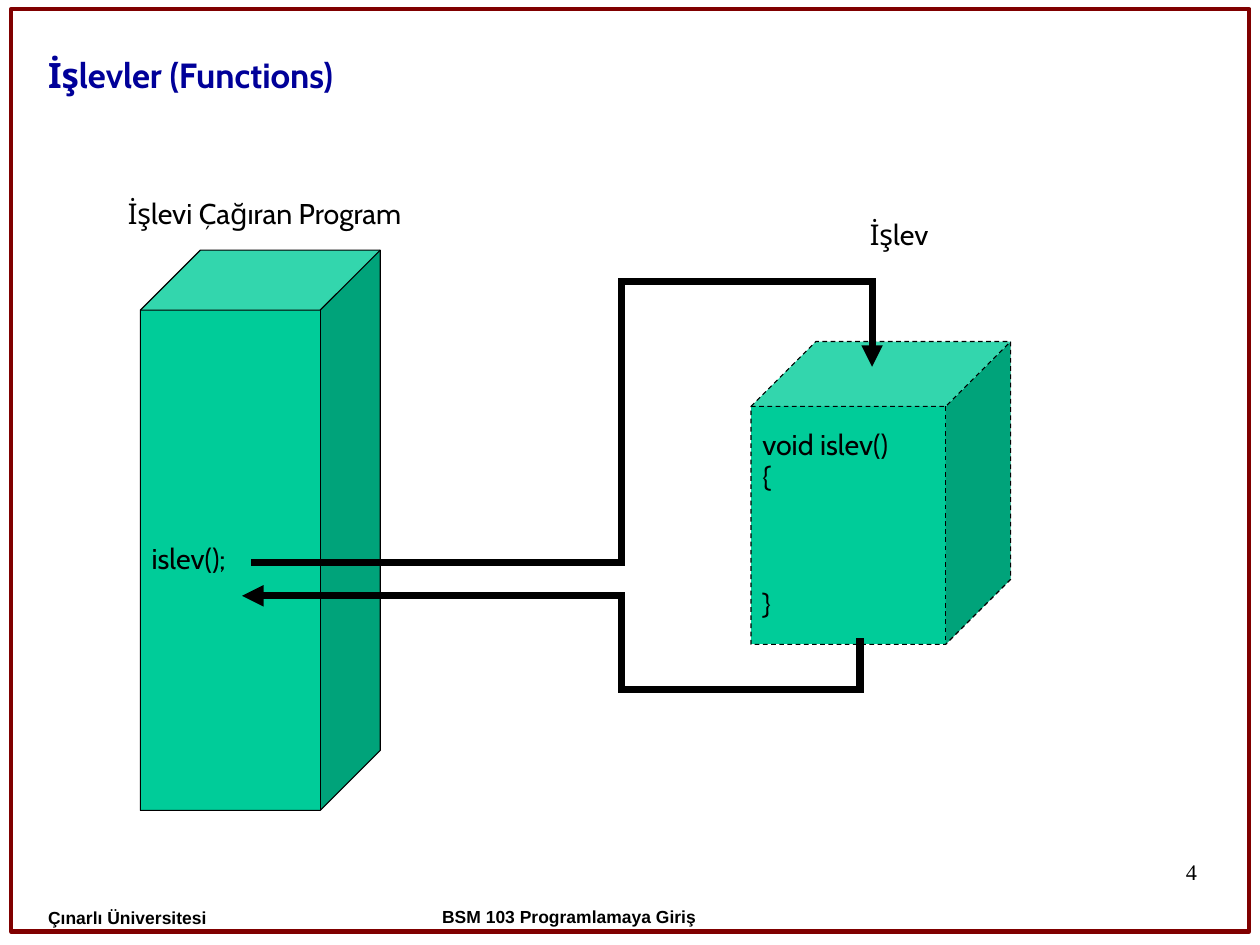
"""Build the slide that shows how a program calls a function and gets control back."""
from dataclasses import dataclass
from itertools import pairwise

from lxml.etree import SubElement
from pptx import Presentation
from pptx.dml.color import RGBColor
from pptx.enum.dml import MSO_LINE
from pptx.enum.shapes import MSO_CONNECTOR, MSO_SHAPE
from pptx.enum.text import MSO_ANCHOR, MSO_AUTO_SIZE, PP_ALIGN
from pptx.oxml.ns import qn
from pptx.util import Cm, Pt


@dataclass(frozen=True)
class Theme:
    """Hold the colours, fonts and type sizes."""
    ink: RGBColor = RGBColor(0x00, 0x00, 0x00)
    title: RGBColor = RGBColor(0x00, 0x00, 0x99)
    frame: RGBColor = RGBColor(0x80, 0x00, 0x00)
    cube: RGBColor = RGBColor(0x00, 0xCC, 0x99)
    main: str = "Cabin"
    foot: str = "Arial"
    page: str = "Times New Roman"
    head: int = 22
    body: int = 18
    num: int = 14
    small: int = 11


LOOK = Theme()
LEFT, MID, RIGHT = PP_ALIGN.LEFT, PP_ALIGN.CENTER, PP_ALIGN.RIGHT
PAD, WIDE, NONE = (0.25, 0.13), (0.56, 0.46), (0, 0)

TITLE = "İşlevler (Functions)"
FRAME = (0.25, 0.2, 27.51, 20.5)
CUBES = [
    ((3.12, 5.56, 5.33, 12.45), ["islev();"], MSO_LINE.SOLID),
    ((16.69, 7.59, 5.77, 6.73), ["void islev()", "{", "}"], MSO_LINE.DASH),
]
ROUTES = [
    [(5.66, 12.5), (13.82, 12.5), (13.82, 6.25), (19.38, 6.25), (19.38, 8.15)],
    [(19.11, 14.25), (19.11, 15.32), (13.82, 15.32), (13.82, 13.24), (5.38, 13.24)],
]
LABELS = [
    ("İşlevi Çağıran Program", (2.59, 4.29, 8.2, 0.97), PAD, LEFT, LOOK.main, LOOK.body, False),
    ("İşlev", (19.08, 4.75, 1.85, 0.97), PAD, LEFT, LOOK.main, LOOK.body, False),
    ("4", (20.07, 19.13, 6.53, 1.45), NONE, RIGHT, LOOK.page, LOOK.num, False),
    ("Çınarlı Üniversitesi", (0.51, 19.74, 5.99, 1.37), WIDE, LEFT, LOOK.foot, LOOK.small, True),
    ("BSM 103 Programlamaya Giriş", (7.9, 19.71, 9.5, 1.3), WIDE, MID, LOOK.foot, LOOK.small, True),
]


def place(box):
    """Turn a box into lengths."""
    return [Cm(n) for n in box]


def write(shape, lines, pad, align, font, size, bold=False, color=LOOK.ink, anchor=MSO_ANCHOR.TOP):
    """Fill a shape with text in one style."""
    frame = shape.text_frame
    frame.text = "\n".join(lines)
    frame.word_wrap = True
    frame.auto_size = MSO_AUTO_SIZE.NONE
    frame.vertical_anchor = anchor
    frame.margin_left = frame.margin_right = Cm(pad[0])
    frame.margin_top = frame.margin_bottom = Cm(pad[1])
    for para in frame.paragraphs:
        para.alignment = align
        para.line_spacing = 0.93
        para.font.name, para.font.size, para.font.bold = font, Pt(size), bold
        para.font.color.rgb = color


def solid(slide, kind, box, color, width):
    """Add a preset shape with an outline and no shadow."""
    shape = slide.shapes.add_shape(kind, *place(box))
    shape.shadow.inherit = False
    shape.line.color.rgb, shape.line.width = color, Pt(width)
    return shape


def trace(slide, route):
    """Draw a route of straight lines that ends in an arrowhead."""
    for start, end in pairwise(route):
        line = slide.shapes.add_connector(MSO_CONNECTOR.STRAIGHT, *place(start + end))
        line.line.color.rgb, line.line.width = LOOK.ink, Pt(4.5)
        props = line._element.spPr
        SubElement(props, qn("a:effectLst"))
        edge = props.find(qn("a:ln"))
        edge.set("cap", "sq")
        if end == route[-1]:
            SubElement(edge, qn("a:tailEnd"), type="triangle")


def main():
    """Build and save the slide."""
    deck = Presentation()
    deck.slide_width, deck.slide_height = Cm(28), Cm(21)
    slide = deck.slides.add_slide(deck.slide_layouts[5])

    title = slide.shapes.title
    title.left, title.top, title.width, title.height = place((0.79, 0.58, 22.4, 1.7))
    write(title, [TITLE], (0.28, 0.15), LEFT, LOOK.main, LOOK.head, True, LOOK.title, MSO_ANCHOR.BOTTOM)

    frame = solid(slide, MSO_SHAPE.ROUNDED_RECTANGLE, FRAME, LOOK.frame, 2.83)
    frame.adjustments[0] = 0
    frame.fill.background()

    for box, lines, dash in CUBES:
        cube = solid(slide, MSO_SHAPE.CUBE, box, LOOK.ink, 0.75)
        cube.fill.solid()
        cube.fill.fore_color.rgb = LOOK.cube
        cube.line.dash_style = dash
        write(cube, lines, PAD, LEFT, LOOK.main, LOOK.body, anchor=MSO_ANCHOR.MIDDLE)
    cube.text_frame.paragraphs[-1].space_before = Pt(60)

    for route in ROUTES:
        trace(slide, route)
    for text, box, *style in LABELS:
        write(slide.shapes.add_textbox(*place(box)), [text], *style)

    deck.save("out.pptx")


if __name__ == "__main__":
    main()
